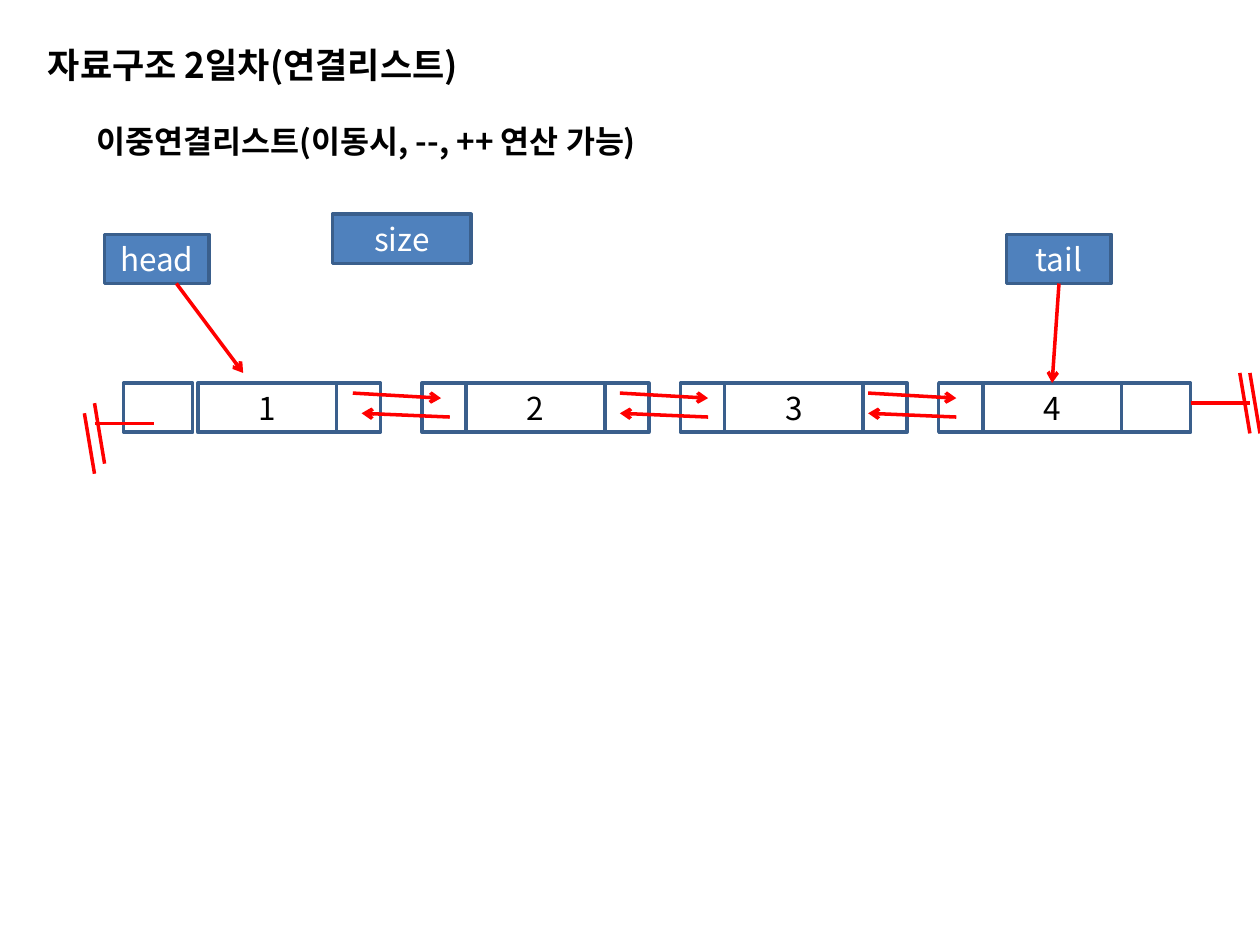
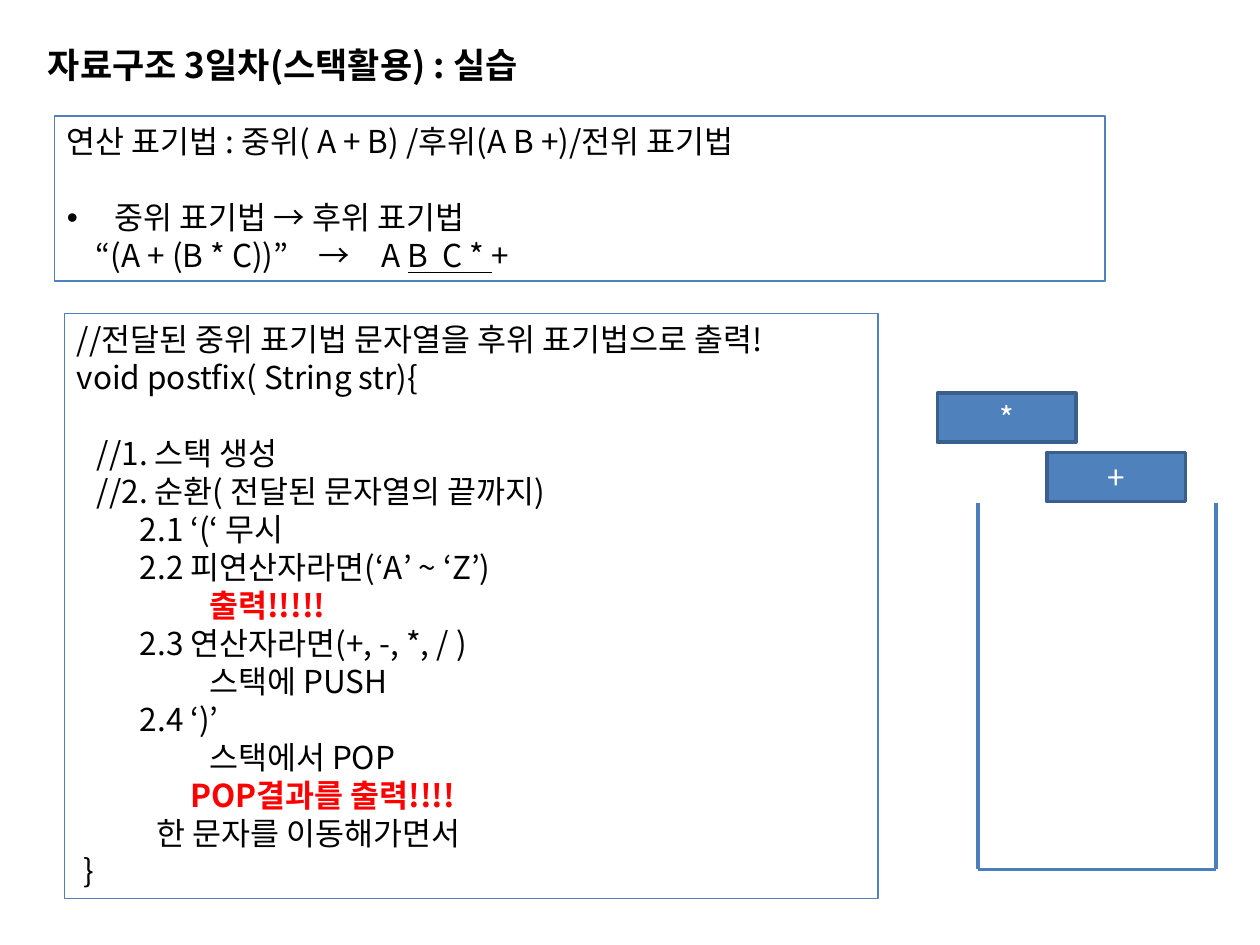
from lxml.etree import SubElement
from pptx import Presentation
from pptx.dml.color import RGBColor
from pptx.enum.shapes import MSO_CONNECTOR as Connector, MSO_SHAPE as Shape
from pptx.enum.text import MSO_ANCHOR as Anchor, MSO_AUTO_SIZE as AutoSize, PP_ALIGN as Align
from pptx.oxml.ns import qn
from pptx.util import Inches, Pt

COLORS = {
    "ink": "000000",
    "light": "FFFFFF",
    "accent": "4F81BD",
    "border": "3A5F8C",
    "wall": "4B7EBC",
    "alert": "FF0000",
}
FONT = "Noto Sans CJK KR"
LEADING = 1.205
BLANK_LINE = 18 * LEADING
PLAIN = {"bold": False, "underline": False}
STRONG = {"bold": True}
UNDERLINED = {"underline": True}

CELL_TOP, CELL_HEIGHT = 3.04, 0.39
VALUE_WIDTH, LINK_WIDTH, END_WIDTH = 1.1, 0.35, 0.55


def rgb(name):
    return RGBColor.from_string(COLORS[name])


class Deck:
    def __init__(self):
        self.prs = Presentation()
        self.prs.slide_width, self.prs.slide_height = Inches(10), Inches(7.5)
        self.slide = None

    def new_slide(self, layout, title):
        self.slide = self.prs.slides.add_slide(self.prs.slide_layouts[layout])
        heading = self.slide.shapes.title
        self.place(heading, 0.28, 0.29, 6.54, 0.44)
        self.paragraph(heading.text_frame, [(title, "ink", STRONG)], size=20)

    def place(self, shape, left, top, width, height):
        bounds = {"left": left, "top": top, "width": width, "height": height}
        for side, value in bounds.items():
            setattr(shape, side, Inches(value))
        frame = {"word_wrap": True, "auto_size": AutoSize.NONE, "vertical_anchor": Anchor.TOP}
        for name, value in frame.items():
            setattr(shape.text_frame, name, value)

    def paragraph(self, frame, runs, size=18, align=Align.LEFT, indent=0, margin=0,
                  before=0, bullet=None, tabs=()):
        last = frame.paragraphs[-1]
        para = frame.add_paragraph() if last.runs else last
        layout = {"alignment": align, "line_spacing": Pt(size * LEADING),
                  "space_before": Pt(before), "space_after": Pt(0)}
        for name, value in layout.items():
            setattr(para, name, value)
        props = para._p.get_or_add_pPr()
        props.set("marL", str(Inches(margin)))
        props.set("indent", str(Inches(indent)))
        if bullet:
            SubElement(props, qn("a:buFont"), typeface="Arial")
            SubElement(props, qn("a:buChar"), char=bullet)
        else:
            SubElement(props, qn("a:buNone"))
        if tabs:
            stops = SubElement(props, qn("a:tabLst"))
            for stop in tabs:
                SubElement(stops, qn("a:tab"), pos=str(Inches(stop)), algn="l")
        for text, color, extra in runs:
            run = para.add_run()
            run.text = text
            for name, value in {"name": FONT, "size": Pt(size), **PLAIN, **extra}.items():
                setattr(run.font, name, value)
            run.font.color.rgb = rgb(color)
            SubElement(run._r.get_or_add_rPr(), qn("a:ea"), typeface=FONT)

    def label(self, text, left, top, width, height):
        box = self.slide.shapes.add_textbox(0, 0, 0, 0)
        self.place(box, left, top, width, height)
        box.text_frame.word_wrap = False
        self.paragraph(box.text_frame, [(text, "ink", STRONG)])

    def panel(self, index, left, top, width, height):
        body = self.slide.placeholders[index]
        self.place(body, left, top, width, height)
        body.line.color.rgb = rgb("accent")
        body.line.width = Pt(0.75)
        return body.text_frame

    def box(self, left, top, width, text=None, fill=None):
        rect = self.slide.shapes.add_shape(Shape.RECTANGLE, 0, 0, 0, 0)
        self.place(rect, left, top, width, CELL_HEIGHT)
        rect.shadow.inherit = False
        rect.line.color.rgb = rgb("border")
        rect.line.width = Pt(2)
        if fill:
            rect.fill.solid()
            rect.fill.fore_color.rgb = rgb(fill)
        else:
            rect.fill.background()
        if text:
            rect.text_frame.vertical_anchor = Anchor.MIDDLE
            color = "light" if fill else "ink"
            self.paragraph(rect.text_frame, [(text, color, PLAIN)], align=Align.CENTER)
        return rect

    def line(self, x1, y1, x2, y2, color="alert", arrow=False):
        link = self.slide.shapes.add_connector(
            Connector.STRAIGHT, *(Inches(value) for value in (x1, y1, x2, y2)))
        link.line.color.rgb = rgb(color)
        link.line.width = Pt(2)
        if arrow:
            SubElement(link.line._get_or_add_ln(), qn("a:tailEnd"), type="arrow")
        SubElement(link._element.spPr, qn("a:effectLst"))
        return link

    def ground(self, stem_left, stem_top, strokes):
        self.line(stem_left, stem_top, stem_left + 0.47, stem_top)
        for left, top in strokes:
            self.line(left, top, left + 0.08, top + 0.48)


def linked_list(deck):
    deck.new_slide(5, "자료구조 2일차(연결리스트)")
    deck.label("이중연결리스트(이동시, --, ++ 연산 가능)", 0.67, 0.92, 4.98, 0.4)

    value_lefts = [1.57, 3.7, 5.75, 7.8]
    values = []
    for number, left in enumerate(value_lefts, 1):
        first, last = number == 1, number == len(value_lefts)
        previous_left = left - END_WIDTH - 0.04 if first else left - LINK_WIDTH
        deck.box(previous_left, CELL_TOP, END_WIDTH if first else LINK_WIDTH)
        values.append(deck.box(left, CELL_TOP, VALUE_WIDTH, str(number)))
        deck.box(left + VALUE_WIDTH, CELL_TOP, END_WIDTH if last else LINK_WIDTH)

    for next_left, previous_left in [(2.8, 2.87), (4.92, 4.92), (6.89, 6.89)]:
        deck.line(next_left, 3.12, next_left + 0.7, 3.16, arrow=True)
        deck.line(previous_left + 0.7, 3.31, previous_left, 3.28, arrow=True)

    deck.ground(0.75, 3.36, [(0.75, 3.2), (0.67, 3.28)])
    deck.ground(9.45, 3.2, [(9.84, 2.96), (9.92, 2.96)])

    deck.box(0.83, 1.86, 0.83, "head", "accent")
    deck.line(1.4, 2.25, 1.93, 2.96, arrow=True)
    deck.box(2.64, 1.7, 1.1, "size", "accent")
    tail = deck.box(7.99, 1.86, 0.83, "tail", "accent")
    tail_link = deck.line(8.41, 2.25, 8.35, 3.04, arrow=True)
    tail_link.begin_connect(tail, 2)
    tail_link.end_connect(values[-1], 0)


def stack_practice(deck):
    deck.new_slide(3, "자료구조 3일차(스택활용) : 실습")

    notation = deck.panel(1, 0.43, 0.92, 8.34, 1.31)
    deck.paragraph(notation, [("연산 표기법 : 중위( A + B) /후위(A B +)/전위 표기법", "ink", PLAIN)])
    deck.paragraph(notation, [("중위 표기법 → 후위 표기법", "ink", PLAIN)],
                   margin=0.38, indent=-0.38, before=BLANK_LINE, bullet="•")
    deck.paragraph(notation, [("“(A + (B * C))”\t→\tA ", "ink", PLAIN),
                              ("B  C * ", "ink", UNDERLINED), ("+", "ink", PLAIN)],
                   indent=0.23, tabs=(1.88, 2.45))

    postfix = deck.panel(2, 0.51, 2.49, 6.46, 4.64)
    code = [
        (0, "//전달된 중위 표기법 문자열을 후위 표기법으로 출력!"),
        (0, "void postfix( String str){"),
        (0.16, "//1. 스택 생성"),
        (0.16, "//2. 순환( 전달된 문자열의 끝까지)"),
        (0.5, "2.1 ‘(‘ 무시"),
        (0.5, "2.2 피연산자라면(‘A’ ~ ‘Z’)"),
        (1.05, "출력!!!!!"),
        (0.5, "2.3 연산자라면(+, -, *, / )"),
        (1.05, "스택에 PUSH"),
        (0.5, "2.4 ‘)’"),
        (1.05, "스택에서 POP"),
        (0.9, "POP결과를 출력!!!!"),
        (0.63, "한 문자를 이동해가면서"),
        (0.05, "}"),
    ]
    for indent, text in code:
        color, emphasis = ("alert", STRONG) if text.endswith("!!") else ("ink", PLAIN)
        before = BLANK_LINE if text.startswith("//1.") else 0
        deck.paragraph(postfix, [(text, color, emphasis)], indent=indent, before=before)

    stack_left, stack_right, stack_top, stack_bottom = 7.76, 9.65, 3.99, 6.9
    for wall in (stack_left, stack_right):
        deck.line(wall, stack_top, wall, stack_bottom, "wall")
    deck.line(stack_right, stack_bottom, stack_left, stack_bottom, "wall")
    deck.box(8.31, 3.59, 1.1, "+", "accent")
    deck.box(7.44, 3.12, 1.1, "*", "accent")


def main():
    deck = Deck()
    linked_list(deck)
    stack_practice(deck)
    deck.prs.save("out.pptx")


if __name__ == "__main__":
    main()
